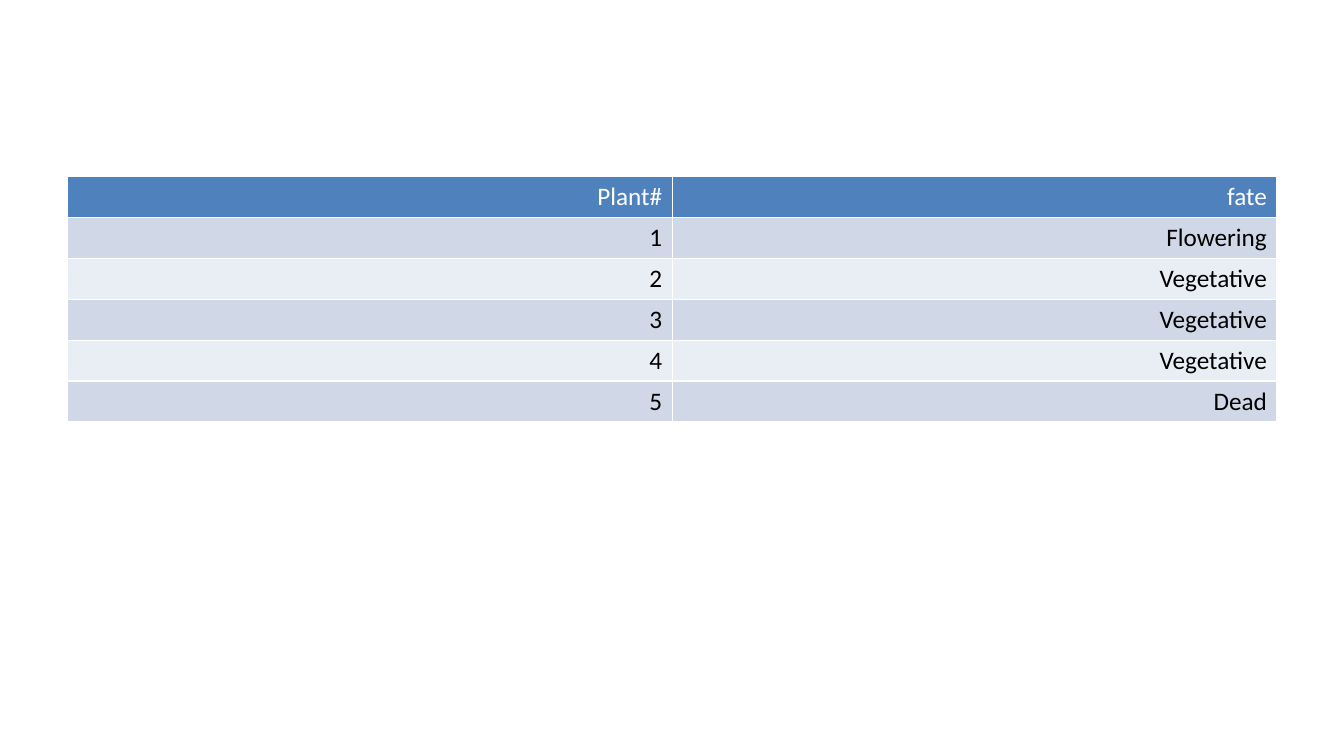
from pptx import Presentation
from pptx.dml.color import RGBColor
from pptx.enum.text import PP_ALIGN
from pptx.util import Cm, Pt

WHITE = RGBColor(0xFF, 0xFF, 0xFF)
BLACK = RGBColor(0x00, 0x00, 0x00)
HEADER_BLUE = RGBColor(0x4F, 0x81, 0xBD)
BAND_DARK = RGBColor(0xD0, 0xD8, 0xE8)
BAND_LIGHT = RGBColor(0xE9, 0xED, 0xF4)

PLANT_FATES = [
    ("Plant#", "fate"),
    ("1", "Flowering"),
    ("2", "Vegetative"),
    ("3", "Vegetative"),
    ("4", "Vegetative"),
    ("5", "Dead"),
]


def row_colors(row_index):
    if row_index == 0:
        return HEADER_BLUE, WHITE
    return (BAND_DARK if row_index % 2 else BAND_LIGHT), BLACK


def fill_cell(cell, text, fill_color, text_color):
    cell.fill.solid()
    cell.fill.fore_color.rgb = fill_color
    cell.text = text
    paragraph = cell.text_frame.paragraphs[0]
    paragraph.alignment = PP_ALIGN.RIGHT
    paragraph.font.name = "Calibri"
    paragraph.font.size = Pt(18)
    paragraph.font.bold = False
    paragraph.font.color.rgb = text_color


def add_fate_table(slide, left, top, width, row_height):
    row_count, column_count = len(PLANT_FATES), len(PLANT_FATES[0])
    table = slide.shapes.add_table(
        row_count, column_count, left, top, width, row_height * row_count
    ).table
    for row_index, texts in enumerate(PLANT_FATES):
        fill_color, text_color = row_colors(row_index)
        for column_index, text in enumerate(texts):
            fill_cell(table.cell(row_index, column_index), text, fill_color, text_color)


def main():
    presentation = Presentation()
    presentation.slide_width = Cm(33.87)
    presentation.slide_height = Cm(19.05)
    slide = presentation.slides.add_slide(presentation.slide_layouts[6])
    add_fate_table(slide, Cm(1.7), Cm(4.45), Cm(30.48), Cm(1.03))
    presentation.save("out.pptx")


if __name__ == "__main__":
    main()
